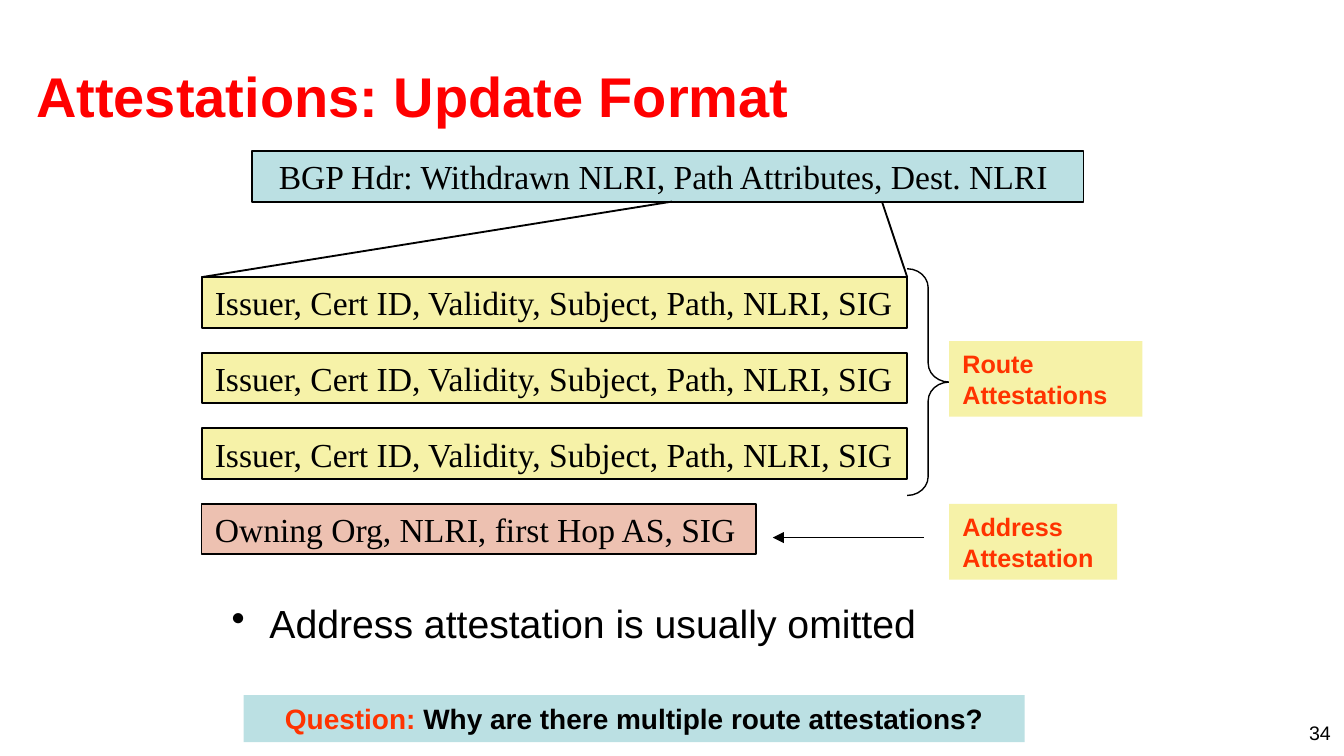
import pptx
import pptx.dml.color
import pptx.enum.shapes
import pptx.enum.text
import pptx.oxml.ns
import pptx.util
from lxml import etree

COLS, ROWS = 160, 90  # grid cells of 1/16 inch
CELL = pptx.util.Inches(10) // COLS
HUES = {
    "black": "000000", "title": "FF0000", "accent": "FF3300",
    "blue": "BBE0E3", "yellow": "F6F2A8", "pink": "EDC1B1",
}
SANS, SERIF = "Arial", "Times New Roman"
SHAPE = pptx.enum.shapes.MSO_SHAPE
LEFT, MID, RIGHT = (pptx.enum.text.PP_ALIGN.LEFT, pptx.enum.text.PP_ALIGN.CENTER,
                    pptx.enum.text.PP_ALIGN.RIGHT)
TOP, CENTER = pptx.enum.text.MSO_ANCHOR.TOP, pptx.enum.text.MSO_ANCHOR.MIDDLE


def grid(*cells):
    return [round(cell * CELL) for cell in cells]


def hue(name):
    return pptx.dml.color.RGBColor.from_string(HUES[name])


class Deck:
    def __init__(self):
        self.prs = pptx.Presentation()
        self.prs.slide_width, self.prs.slide_height = grid(COLS, ROWS)
        self.slide = self.prs.slides.add_slide(self.prs.slide_layouts[5])
        self.shapes = self.slide.shapes

    def style(self, run, size, color, font, bold):
        run.font.size = pptx.util.Pt(size)
        run.font.name = font
        run.font.bold = bold
        run.font.color.rgb = hue(color)

    def fill(self, shape, text, size, color="black", font=SANS, bold=False,
             align=LEFT, anchor=CENTER, wrap=True):
        frame = shape.text_frame
        frame.text = text
        frame.word_wrap = wrap
        frame.vertical_anchor = anchor
        para = frame.paragraphs[0]
        para.alignment = align
        for run in para.runs:
            self.style(run, size, color, font, bold)
        return para

    def title(self, text, *area):
        box = self.shapes.title
        box.left, box.top, box.width, box.height = grid(*area)
        self.fill(box, text, 30, "title", bold=True)

    def text(self, text, size, *area, align=LEFT):
        box = self.shapes.add_textbox(*grid(*area))
        return self.fill(box, text, size, align=align, anchor=TOP)

    def bullet(self, text, size, *area):
        props = self.text(text, size, *area)._p.get_or_add_pPr()
        indent = round(4.5 * CELL)
        props.set("marL", str(indent))
        props.set("indent", str(-indent))
        mark = etree.SubElement(props, pptx.oxml.ns.qn("a:buChar"))
        mark.set("char", "•")

    def rect(self, color, *area, edge=False):
        box = self.shapes.add_shape(SHAPE.RECTANGLE, *grid(*area))
        box.shadow.inherit = False
        box.fill.solid()
        box.fill.fore_color.rgb = hue(color)
        if edge:
            self.stroke(box.line, 1)
        else:
            box.line.fill.background()
        return box

    def field(self, text, color, *area, align=LEFT):
        box = self.rect(color, *area, edge=True)
        self.fill(box, text, 18, font=SERIF, align=align, wrap=False)

    def label(self, text, *area):
        self.fill(self.rect("yellow", *area), text, 13.5, "accent", bold=True)

    def brace(self, *area):
        brace = self.shapes.add_shape(SHAPE.RIGHT_BRACE, *grid(*area))
        brace.shadow.inherit = False
        brace.fill.background()
        brace.adjustments[0] = 0.45
        self.stroke(brace.line, 0.75)

    def stroke(self, line, width):
        line.color.rgb = hue("black")
        line.width = pptx.util.Pt(width)

    def line(self, *ends, width=1, arrow=False):
        kind = pptx.enum.shapes.MSO_CONNECTOR.STRAIGHT
        link = self.shapes.add_connector(kind, *grid(*ends))
        self.stroke(link.line, width)
        props = link._element.spPr
        if arrow:
            edge = props.find(pptx.oxml.ns.qn("a:ln"))
            head = etree.SubElement(edge, pptx.oxml.ns.qn("a:tailEnd"))
            head.set("type", "triangle")
        etree.SubElement(props, pptx.oxml.ns.qn("a:effectLst"))


def main():
    deck = Deck()
    deck.title("Attestations: Update Format", 2.7, 3.8, 153.3, 15)

    # Update header, opened out into its attestations
    deck.field("BGP Hdr: Withdrawn NLRI, Path Attributes, Dest. NLRI ",
               "blue", 30, 18, 99, 6, align=MID)
    deck.line(80, 24, 24, 33)
    deck.line(105, 24, 108, 33)

    # Route attestations
    for step in range(3):
        deck.field("Issuer, Cert ID, Validity, Subject, Path, NLRI, SIG",
                   "yellow", 24, 33 + 9 * step, 84, 6)
    deck.brace(108, 32, 5, 27)
    deck.label("Route\vAttestations", 113, 40.6, 23, 9)

    # Address attestation
    deck.field("Owning Org, NLRI, first Hop AS, SIG", "pink", 24, 60, 66, 6)
    deck.line(110, 64, 92, 64, width=0.75, arrow=True)
    deck.label("Address Attestation", 113, 60, 20, 9)

    # Remark, question and page number
    deck.bullet("Address attestation is usually omitted", 21, 26, 70.6, 108, 8.3)
    box = deck.rect("blue", 29, 82.75, 93, 5.6)
    para = deck.fill(box, "Question:", 15, "accent", bold=True, align=MID)
    rest = para.add_run()
    rest.text = " Why are there multiple route attestations?"
    deck.style(rest, 15, "black", SANS, True)
    deck.text("34", 10.5, 122.7, 85, 37.3, 3, align=RIGHT)

    deck.prs.save("out.pptx")


if __name__ == "__main__":
    main()
